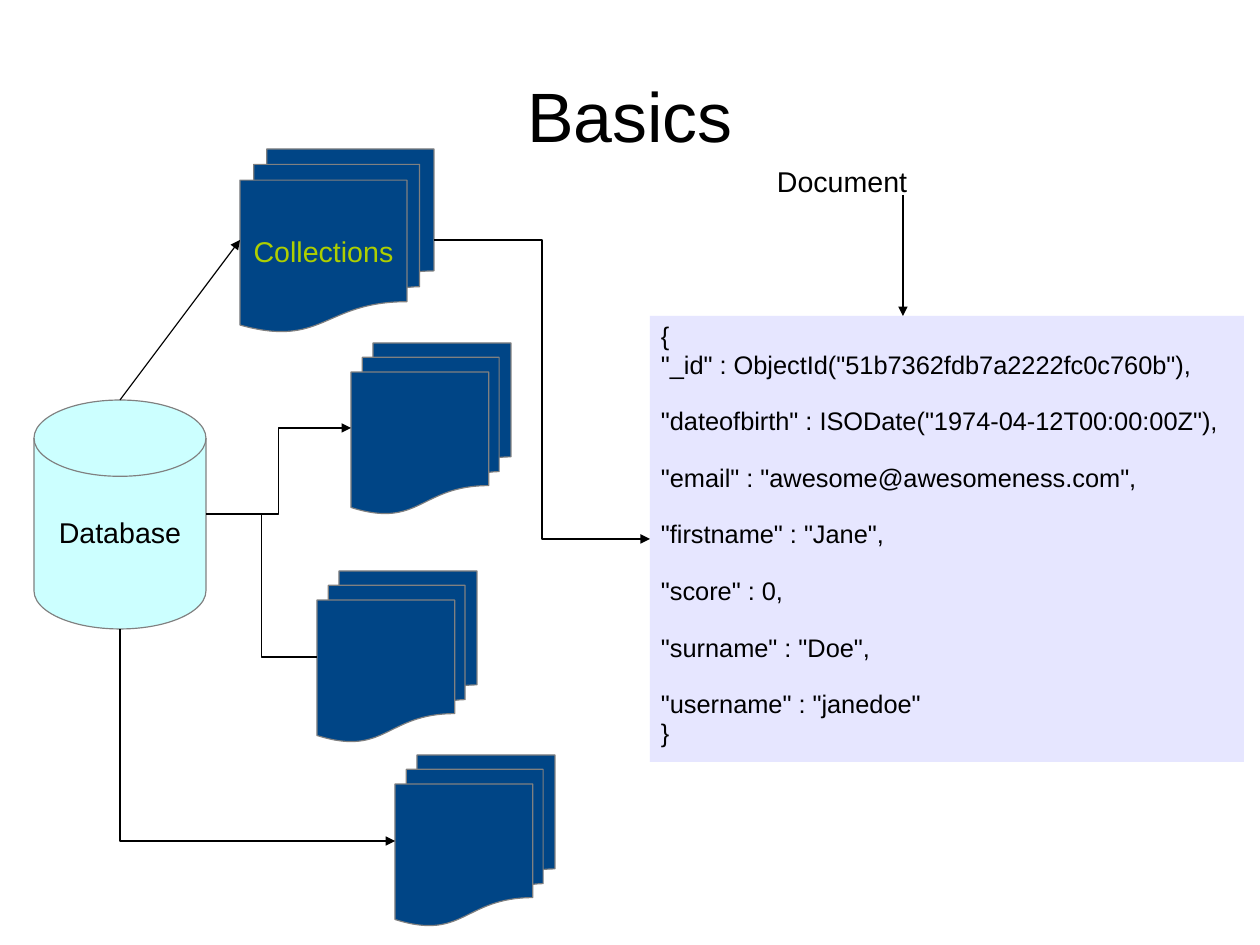
"""Build the slide on a database, its collections and one document."""
from lxml.etree import SubElement
from pptx import Presentation
from pptx.dml.color import RGBColor
from pptx.enum.shapes import MSO_CONNECTOR as Link, MSO_SHAPE as Shape
from pptx.enum.text import MSO_ANCHOR as Anchor, PP_ALIGN as Align
from pptx.oxml.ns import qn
from pptx.util import Emu, Pt

BLACK = RGBColor(0x00, 0x00, 0x00)
GREY = RGBColor(0x80, 0x80, 0x80)
NAVY = RGBColor(0x00, 0x45, 0x86)
LIME = RGBColor(0xAE, 0xCF, 0x00)
CYAN = RGBColor(0xCC, 0xFF, 0xFF)
LAVENDER = RGBColor(0xE6, 0xE6, 0xFF)

EMU_PER_PX = 8000
SLIDE_SIZE = (1260, 945)
TITLE = ("Basics", (63, 38, 1134, 158))
DOCUMENT_LABEL = ("Document", (766, 160, 354, 43))
DATABASE = ("Database", (34, 400, 172, 229))
COLLECTIONS = [
    ("", (351, 343, 160, 171)),
    ("Collections", (240, 149, 194, 183)),
    ("", (317, 571, 160, 171)),
    ("", (395, 755, 160, 171)),
]
DOCUMENT_BOX = (650, 316, 594, 446)
DOCUMENT_LINES = [
    "{",
    '"_id" : ObjectId("51b7362fdb7a2222fc0c760b"),',
    '"dateofbirth" : ISODate("1974-04-12T00:00:00Z"),',
    '"email" : "awesome@awesomeness.com",',
    '"firstname" : "Jane",',
    '"score" : 0,',
    '"surname" : "Doe",',
    '"username" : "janedoe"',
    "}",
]
SPACED_LINES = range(2, 8)
LINKS = [
    (Link.STRAIGHT, (120, 400), (240, 240), True),
    (Link.ELBOW, (206, 514), (351, 428), True),
    (Link.ELBOW, (206, 514), (317, 657), False),
    (Link.ELBOW, (434, 240), (650, 539), True),
    (Link.STRAIGHT, (903, 195), (903, 316), True),
]
CORNER_LINK = ((120, 629), (395, 841))

FRAME = {"margin_left": 11, "margin_top": 7, "margin_right": 11, "margin_bottom": 6}
TITLE_FRAME = {"margin_left": 0, "margin_top": 5, "margin_right": 0, "margin_bottom": 0}


def px(length):
    """Turn px into EMU."""
    return Emu(round(length * EMU_PER_PX))


def write(shape, lines, size, color, align, anchor, wrap, margins=FRAME, spaced=()):
    """Fill a shape with formatted paragraphs."""
    frame = shape.text_frame
    frame.word_wrap, frame.vertical_anchor = wrap, anchor
    for side, margin in margins.items():
        setattr(frame, side, px(margin))
    frame.text = "\n".join(lines)
    for row, paragraph in enumerate(frame.paragraphs):
        paragraph.alignment, paragraph.line_spacing = align, 0.93
        if row in spaced:
            paragraph.space_before = Pt(17.8)
        font = paragraph.runs[0].font
        for name, value in {"name": "Arial", "size": Pt(size), "bold": False}.items():
            setattr(font, name, value)
        font.color.rgb = color


def add_part(slide, kind, box, fill, outline=None):
    """Add a flat preset shape."""
    part = slide.shapes.add_shape(kind, *map(px, box))
    part.shadow.inherit = False
    part.fill.solid()
    part.fill.fore_color.rgb = fill
    if outline is None:
        part.line.fill.background()
    else:
        part.line.color.rgb, part.line.width = outline, Pt(0.75)
    return part


def add_link(slide, kind, start, end, arrow):
    """Add a thin black connector without shadow."""
    link = slide.shapes.add_connector(kind, *map(px, start + end))
    link.line.color.rgb, link.line.width = BLACK, Pt(0.75)
    if arrow:
        SubElement(link.line._get_or_add_ln(), qn("a:tailEnd"), type="triangle")
    SubElement(link._element.spPr, qn("a:effectLst"))
    return link


def add_corner_link(slide, start, end):
    """Add a one-bend connector that runs down and then right."""
    (left, top), (right, bottom) = start, end
    middle_x, middle_y = (left + right) / 2, (top + bottom) / 2
    half_w, half_h = (bottom - top) / 2, (right - left) / 2
    link = add_link(slide, Link.ELBOW, (middle_x + half_w, middle_y - half_h),
                    (middle_x - half_w, middle_y + half_h), True)
    properties = link._element.spPr
    properties.find(qn("a:xfrm")).set("rot", str(270 * 60000))
    properties.find(qn("a:prstGeom")).set("prst", "bentConnector2")


def main():
    """Compose and save the slide."""
    deck = Presentation()
    deck.slide_width, deck.slide_height = map(px, SLIDE_SIZE)
    slide = deck.slides.add_slide(deck.slide_layouts[5])

    text, box = TITLE
    title = slide.shapes.title
    for side, length in zip(("left", "top", "width", "height"), box):
        setattr(title, side, px(length))
    write(title, [text], 44, BLACK, Align.CENTER, Anchor.MIDDLE, True, TITLE_FRAME)

    stores = [(Shape.FLOWCHART_MULTIDOCUMENT, NAVY, LIME, *entry) for entry in COLLECTIONS]
    stores.insert(1, (Shape.FLOWCHART_MAGNETIC_DISK, CYAN, BLACK, *DATABASE))
    for kind, fill, color, text, box in stores:
        store = add_part(slide, kind, box, fill, GREY)
        if text:
            write(store, [text], 18, color, Align.CENTER, Anchor.MIDDLE, False)

    document = add_part(slide, Shape.RECTANGLE, DOCUMENT_BOX, LAVENDER)
    write(document, DOCUMENT_LINES, 16, BLACK, Align.LEFT, Anchor.TOP, True,
          spaced=SPACED_LINES)
    text, box = DOCUMENT_LABEL
    label = slide.shapes.add_textbox(*map(px, box))
    write(label, [text], 18, BLACK, Align.LEFT, Anchor.TOP, True)

    for link in LINKS:
        add_link(slide, *link)
    add_corner_link(slide, *CORNER_LINK)
    deck.save("out.pptx")


if __name__ == "__main__":
    main()
